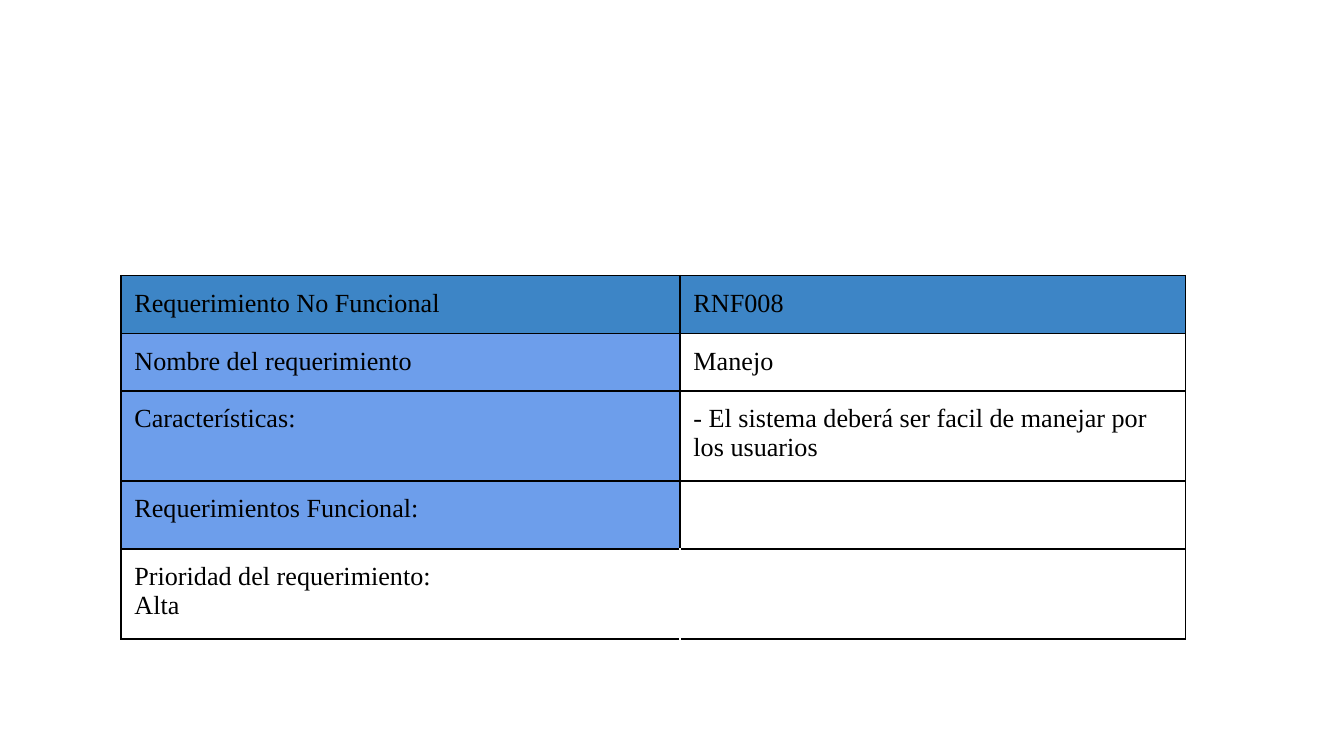
from lxml import etree
from pptx import Presentation
from pptx.dml.color import RGBColor
from pptx.oxml.ns import qn
from pptx.util import Inches, Pt

FONT = "Times New Roman"
BLACK, WHITE = "000000", "FFFFFF"
HEAD, LABEL = "3D85C6", "6D9EEB"
WIDTHS = (4.16, 3.76)
ROWS = (
    (0.43, (HEAD, HEAD), ("Requerimiento No Funcional", "RNF008")),
    (0.43, (LABEL, WHITE), ("Nombre del requerimiento", "Manejo")),
    (0.67, (LABEL, WHITE), ("Características:",
                            "- El sistema deberá ser facil de manejar por los usuarios")),
    (0.5, (LABEL, WHITE), ("Requerimientos Funcional:", "")),
    (0.67, (WHITE, WHITE), ("Prioridad del requerimiento:\nAlta", "")),
)


def color(code):
    """Return the colour for a hex string."""
    return RGBColor.from_string(code)


def set_edges(cell, hues):
    """Draw the left, right, top and bottom edges of a cell."""
    props = cell._tc.get_or_add_tcPr()
    for side, hue in zip("LRTB", hues):
        line = etree.SubElement(props, qn(f"a:ln{side}"), w=str(Pt(0.75)))
        fill = etree.SubElement(line, qn("a:solidFill"))
        etree.SubElement(fill, qn("a:srgbClr"), val=hue)


def fill_cell(cell, text, shade, hues):
    """Set the edges, fill, margins and text of a cell."""
    set_edges(cell, hues)
    cell.fill.solid()
    cell.fill.fore_color.rgb = color(shade)
    cell.margin_left = cell.margin_right = Inches(0.1)
    cell.margin_top = cell.margin_bottom = Inches(0.1)
    if not text:
        return
    cell.text = text
    for para in cell.text_frame.paragraphs:
        para.font.name = FONT
        para.font.size = Pt(14)
        para.font.color.rgb = color(BLACK)


def add_grid(slide):
    """Add the requirement table."""
    frame = slide.shapes.add_table(
        len(ROWS), len(WIDTHS), Inches(0.9), Inches(2.05),
        Inches(sum(WIDTHS)), Inches(sum(row[0] for row in ROWS)))
    table = frame.table
    table.first_row = table.horz_banding = False
    for col, width in zip(table.columns, WIDTHS):
        col.width = Inches(width)
    for r, (height, shades, texts) in enumerate(ROWS):
        table.rows[r].height = Inches(height)
        inner = WHITE if r == len(ROWS) - 1 else BLACK
        for c, (shade, text) in enumerate(zip(shades, texts)):
            sides = (BLACK, inner) if c == 0 else (inner, BLACK)
            fill_cell(table.cell(r, c), text, shade, (*sides, BLACK, BLACK))


def main():
    """Build and save the slide."""
    deck = Presentation()
    deck.slide_width = Inches(10)
    deck.slide_height = deck.slide_width * 9 // 16
    add_grid(deck.slides.add_slide(deck.slide_layouts[6]))
    deck.save("out.pptx")


if __name__ == "__main__":
    main()
